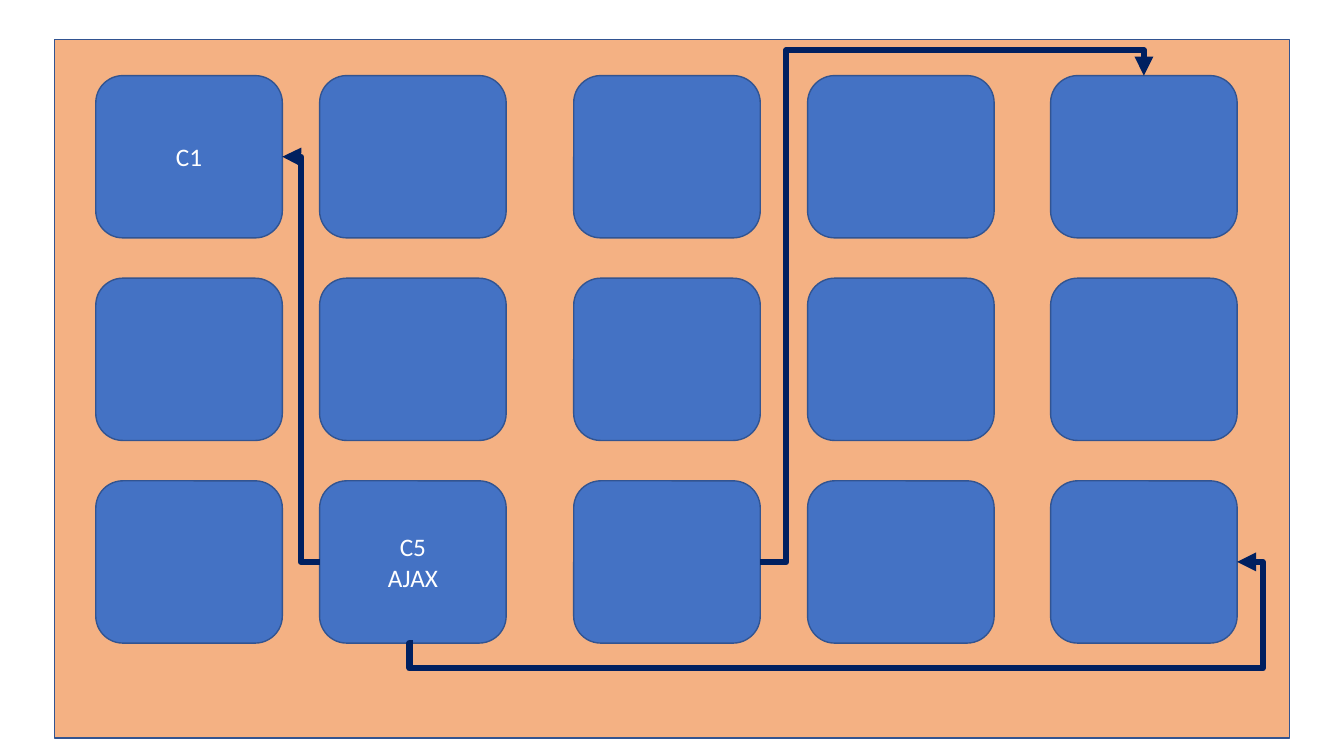
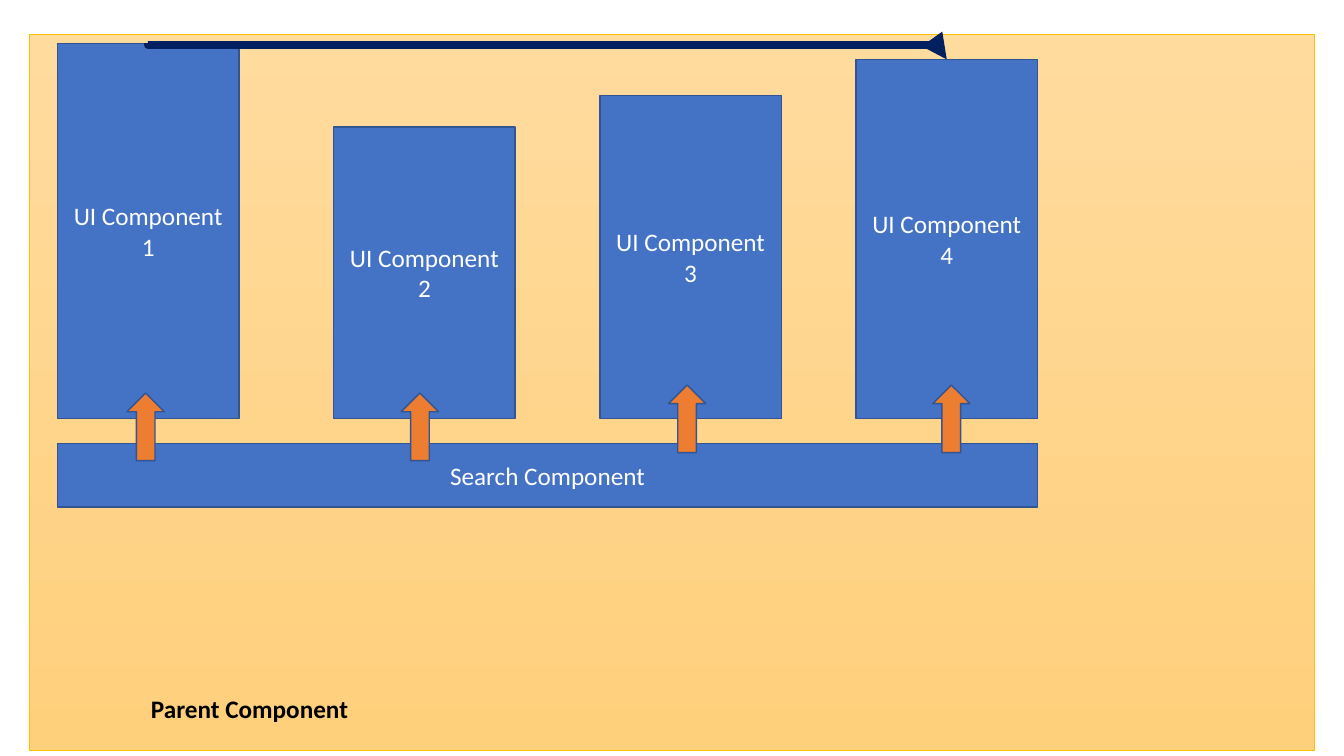
from pptx import Presentation
from pptx.dml.color import RGBColor
from pptx.enum.shapes import MSO_CONNECTOR, MSO_SHAPE
from pptx.enum.text import PP_ALIGN
from pptx.oxml.ns import qn
from pptx.oxml.xmlchemy import OxmlElement
from pptx.util import Inches, Pt

RECTANGLE, ROUNDED, UP_ARROW = MSO_SHAPE.RECTANGLE, MSO_SHAPE.ROUNDED_RECTANGLE, MSO_SHAPE.UP_ARROW
ELBOW = MSO_CONNECTOR.ELBOW
CENTER = PP_ALIGN.CENTER

BLUE, OUTLINE, NAVY = "4472C4", "325491", "002060"
PEACH, ORANGE, GOLD = "F4B183", "ED7D31", "FFC000"
GRADIENT = ("FFDB9E", "FFD07C")
WHITE, BLACK = "FFFFFF", "000000"
TEXT_FORMAT = {"name": "Calibri", "size": Pt(18)}

# Slide 1: a grid of cells, labels keyed by (column, row)
CELL_LEFTS = (0.95, 3.17, 5.69, 8.01, 10.42)
CELL_TOP, ROW_PITCH, ROW_COUNT = 0.75, 2.01, 3
CELL_WIDTH, CELL_HEIGHT = 1.85, 1.61
CELL_LABELS = {(0, 0): "C1", (1, 2): "C5\nAJAX"}
# (start cell, side), (end cell, side), preset, bend positions as shares of the span
CELL_LINKS = [
    (((1, 2), "left"), ((0, 0), "right"), "bentConnector3", (0.5,)),
    (((2, 2), "right"), ((4, 0), "top"), "bentConnector4", (0.068, 1.052)),
    (((1, 2), "bottom"), ((4, 2), "right"), "bentConnector5", (-0.004, -0.311, 1.031)),
]
SIDES = {"top": (0.5, 0), "left": (0, 0.5), "bottom": (0.5, 1), "right": (1, 0.5)}

# Slide 2: columns standing on one baseline: label, left, top, arrow left, arrow top
COMPONENTS = [
    ("UI Component 1", 0.57, 0.43, 1.26, 3.9),
    ("UI Component 2", 3.31, 1.26, 3.98, 3.9),
    ("UI Component 3", 5.95, 0.95, 6.63, 3.82),
    ("UI Component 4", 8.49, 0.59, 9.25, 3.82),
]
COMPONENT_WIDTH, BASELINE = 1.8, 4.15
ARROW_SIZE = (0.37, 0.67)
SEARCH_TOP, SEARCH_HEIGHT = 4.4, 0.63


def color(value):
    return RGBColor.from_string(value)


def write(shape, text, text_color, bold=False):
    frame = shape.text_frame
    frame.word_wrap = True
    frame.text = text
    for paragraph in frame.paragraphs:
        paragraph.alignment = CENTER
        for run in paragraph.runs:
            for name, value in {**TEXT_FORMAT, "bold": bold}.items():
                setattr(run.font, name, value)
            run.font.color.rgb = color(text_color)


def add_box(slide, kind, box, fill=BLUE, text="", outline=OUTLINE, weight=1):
    """Add a filled, outlined shape; a pair of fill colours makes a top-down gradient."""
    shape = slide.shapes.add_shape(kind, *map(Inches, box))
    shape.shadow.inherit = False
    if isinstance(fill, tuple):
        shape.fill.gradient()
        shape.fill.gradient_angle = 270
        for stop, value in zip(shape.fill.gradient_stops, fill):
            stop.color.rgb = color(value)
    else:
        shape.fill.solid()
        shape.fill.fore_color.rgb = color(fill)
    shape.line.color.rgb = color(outline)
    shape.line.width = Pt(weight)
    if text:
        write(shape, text, WHITE)
    return shape


def add_bent_arrow(slide, start, end, preset, bends, weight):
    connector = slide.shapes.add_connector(ELBOW, *map(Inches, (*start, *end)))
    connector.line.color.rgb = color(NAVY)
    connector.line.width = Pt(weight)
    properties = connector._element.spPr
    geometry = properties.find(qn("a:prstGeom"))
    geometry.set("prst", preset)
    guides = geometry.find(qn("a:avLst"))
    for number, share in enumerate(bends, 1):
        guide = OxmlElement("a:gd")
        guide.set("name", f"adj{number}")
        guide.set("fmla", f"val {round(share * 100000)}")
        guides.append(guide)
    head = OxmlElement("a:tailEnd")
    head.set("type", "triangle")
    properties.find(qn("a:ln")).append(head)
    properties.append(OxmlElement("a:effectLst"))


def cell_origin(cell):
    column, row = cell
    return CELL_LEFTS[column], CELL_TOP + row * ROW_PITCH


def cell_side(cell, side):
    """Return the middle of one side of a grid cell."""
    left, top = cell_origin(cell)
    across, down = SIDES[side]
    return left + across * CELL_WIDTH, top + down * CELL_HEIGHT


def build_grid_slide(slide):
    panel = add_box(slide, ROUNDED, (0.54, 0.39, 12.25, 6.93), PEACH)
    panel.adjustments[0] = 0
    for column in range(len(CELL_LEFTS)):
        for row in range(ROW_COUNT):
            cell = column, row
            add_box(slide, ROUNDED, (*cell_origin(cell), CELL_WIDTH, CELL_HEIGHT),
                    text=CELL_LABELS.get(cell, ""))
    for start, end, preset, bends in CELL_LINKS:
        add_bent_arrow(slide, cell_side(*start), cell_side(*end), preset, bends, 4.5)


def build_component_slide(slide):
    add_box(slide, RECTANGLE, (0.29, 0.34, 12.75, 7.1), GRADIENT, outline=GOLD, weight=0.5)
    for label, left, top, _, _ in COMPONENTS:
        add_box(slide, RECTANGLE, (left, top, COMPONENT_WIDTH, BASELINE - top), text=label)
    first_left, first_top = COMPONENTS[0][1:3]
    last_left, last_top = COMPONENTS[-1][1:3]
    search_width = last_left + COMPONENT_WIDTH - first_left
    add_box(slide, RECTANGLE, (first_left, SEARCH_TOP, search_width, SEARCH_HEIGHT),
            text="Search Component")
    for *_, arrow_left, arrow_top in COMPONENTS:
        add_box(slide, UP_ARROW, (arrow_left, arrow_top, *ARROW_SIZE), ORANGE)
    middle = COMPONENT_WIDTH / 2
    add_bent_arrow(slide, (first_left + middle, first_top), (last_left + middle, last_top),
                   "bentConnector4", (0, 0.089), 6)
    caption = slide.shapes.add_textbox(*map(Inches, (0.5, 6.83, 3.95, 0.4)))
    write(caption, "Parent Component", BLACK, bold=True)


def main():
    presentation = Presentation()
    presentation.slide_width, presentation.slide_height = Inches(13.33), Inches(7.5)
    blank = presentation.slide_layouts[6]
    for build in (build_grid_slide, build_component_slide):
        build(presentation.slides.add_slide(blank))
    presentation.save("out.pptx")


if __name__ == "__main__":
    main()
